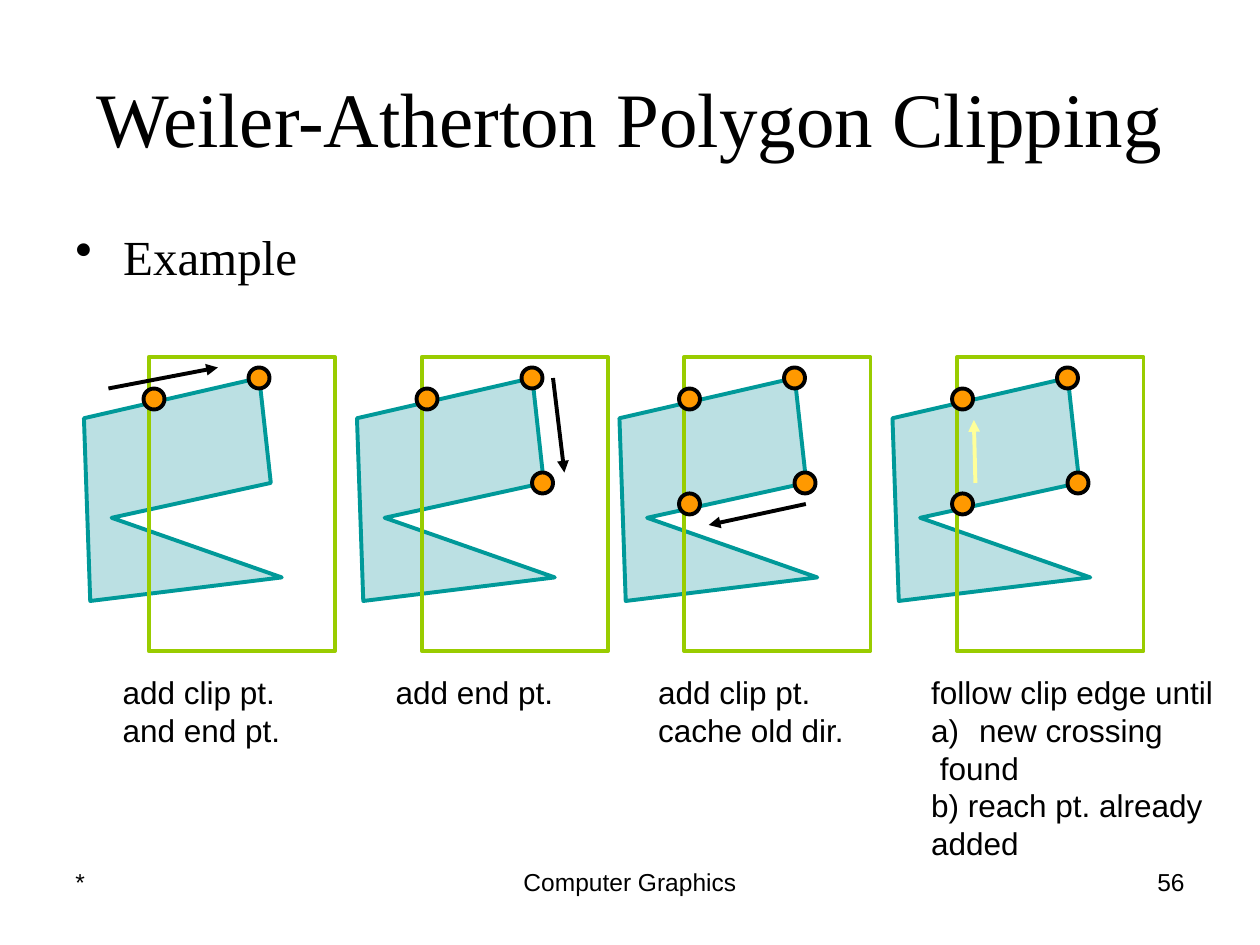
from lxml.etree import SubElement
from pptx import Presentation
from pptx.dml.color import RGBColor
from pptx.enum.shapes import MSO_CONNECTOR, MSO_SHAPE
from pptx.enum.text import MSO_ANCHOR, PP_ALIGN
from pptx.oxml.ns import qn
from pptx.util import Inches, Pt

# Grid of 120 columns by 90 rows: twelve cells to the inch
CELL = Inches(1) / 12
BLACK, TEAL, GREEN = "000000", "009999", "99CC00"
PALE, ORANGE, YELLOW = "BBE0E3", "FF9900", "FFFF99"


def color(code):
    return RGBColor.from_string(code)


def cells(*counts):
    return [round(n * CELL) for n in counts]


class Board:
    def __init__(self, deck):
        self.slide = deck.slides.add_slide(deck.slide_layouts[6])
        self.shapes = self.slide.shapes
        self.weight = Pt(2.25)

    def style(self, shape, line, fill=None):
        shape.shadow.inherit = False
        if fill:
            shape.fill.solid()
            shape.fill.fore_color.rgb = color(fill)
        else:
            shape.fill.background()
        shape.line.color.rgb = color(line)
        shape.line.width = self.weight

    def text(self, box, words, size=18, font="Arial", align=PP_ALIGN.LEFT,
             anchor=MSO_ANCHOR.TOP):
        frame = self.shapes.add_textbox(*cells(*box)).text_frame
        frame.word_wrap = True
        frame.vertical_anchor = anchor
        frame.text = words
        for para in frame.paragraphs:
            para.alignment = align
            for run in para.runs:
                run.font.size = Pt(size)
                run.font.name = font
                run.font.color.rgb = color(BLACK)
        return frame.paragraphs

    def indent(self, para, left, hang=0):
        props = para._p.get_or_add_pPr()
        props.set("marL", str(Inches(left)))
        props.set("indent", str(-Inches(hang)))
        return props

    def bullet(self, para, kind, **attrs):
        props = self.indent(para, 0.38, 0.38)
        SubElement(props, qn(kind), **attrs)

    def preset(self, kind, box, line, fill=None):
        self.style(self.shapes.add_shape(kind, *cells(*box)), line, fill)

    def outline(self, points, line, fill):
        spots = [cells(*point) for point in points]
        pen = self.shapes.build_freeform(*spots[0])
        pen.add_line_segments(spots[1:], close=True)
        self.style(pen.convert_to_shape(), line, fill)

    def arrow(self, start, end, line):
        link = self.shapes.add_connector(
            MSO_CONNECTOR.STRAIGHT, *cells(*start, *end))
        link.line.color.rgb = color(line)
        link.line.width = self.weight
        SubElement(link.line._get_or_add_ln(), qn("a:tailEnd"), type="triangle")
        SubElement(link._element.spPr, qn("a:effectLst"))


# Polygon corners and marked points, columns counted from a panel's left
POLYGON = [(0, 39.84), (16.7, 36), (17.8, 46),
           (2.64, 49.32), (18.84, 55), (0.6, 57.24)]
DOTS = [(6.67, 38), (16.67, 36), (17.67, 46), (6.67, 48)]

# Left column, dot count, arrow start, arrow end, arrow colour,
# caption width and height, caption
PANELS = [
    (8, 2, (2.33, 37), (12.75, 35), BLACK, 19.3, 8.4,
     "add clip pt.\nand end pt."),
    (34, 3, (18.67, 36), (19.75, 45), BLACK, 19.2, 4.8, "add end pt."),
    (59, 4, (17.75, 48), (8.5, 50), BLACK, 22.2, 8.4,
     "add clip pt.\ncache old dir."),
    (85, 4, (7.9, 46), (7.75, 40), YELLOW, 32.5, 19.2,
     "follow clip edge until\nnew crossing\nfound\n"
     "b) reach pt. already\nadded"),
]


def main():
    deck = Presentation()
    deck.slide_width, deck.slide_height = cells(120, 90)
    board = Board(deck)

    # Footer
    for left, width, words, align in [
            (6, 28, "*", PP_ALIGN.LEFT),
            (41, 38, "Computer Graphics", PP_ALIGN.CENTER),
            (86, 28, "56", PP_ALIGN.RIGHT)]:
        board.text((left, 82, width, 6.25), words, 14, align=align)

    # Title and bullet
    board.text((6, 3.6, 108, 15), "Weiler-Atherton Polygon Clipping", 44,
               "Times New Roman", PP_ALIGN.CENTER, MSO_ANCHOR.MIDDLE)
    body = board.text((6, 21, 108, 59.4), "Example", 28, "Times New Roman")
    board.bullet(body[0], "a:buChar", char="•")

    # Panels: polygon, clip window, direction and caption
    for left, count, start, end, shade, width, height, words in PANELS:
        def shift(point):
            return left + point[0], point[1]

        board.outline([shift(point) for point in POLYGON], TEAL, PALE)
        board.preset(MSO_SHAPE.RECTANGLE, (left + 6.16, 34, 17.75, 28), GREEN)
        board.arrow(shift(start), shift(end), shade)
        lines = board.text((left + 2.5, 63.5, width, height), words)

        # Marked points
        for x, y in map(shift, DOTS[:count]):
            board.preset(MSO_SHAPE.OVAL, (x - 1, y - 1, 2, 2), BLACK, ORANGE)

    # Lettered step in the last caption
    board.bullet(lines[1], "a:buAutoNum", type="alphaLcParenR")
    board.indent(lines[2], 0.07)

    deck.save("out.pptx")


if __name__ == "__main__":
    main()
